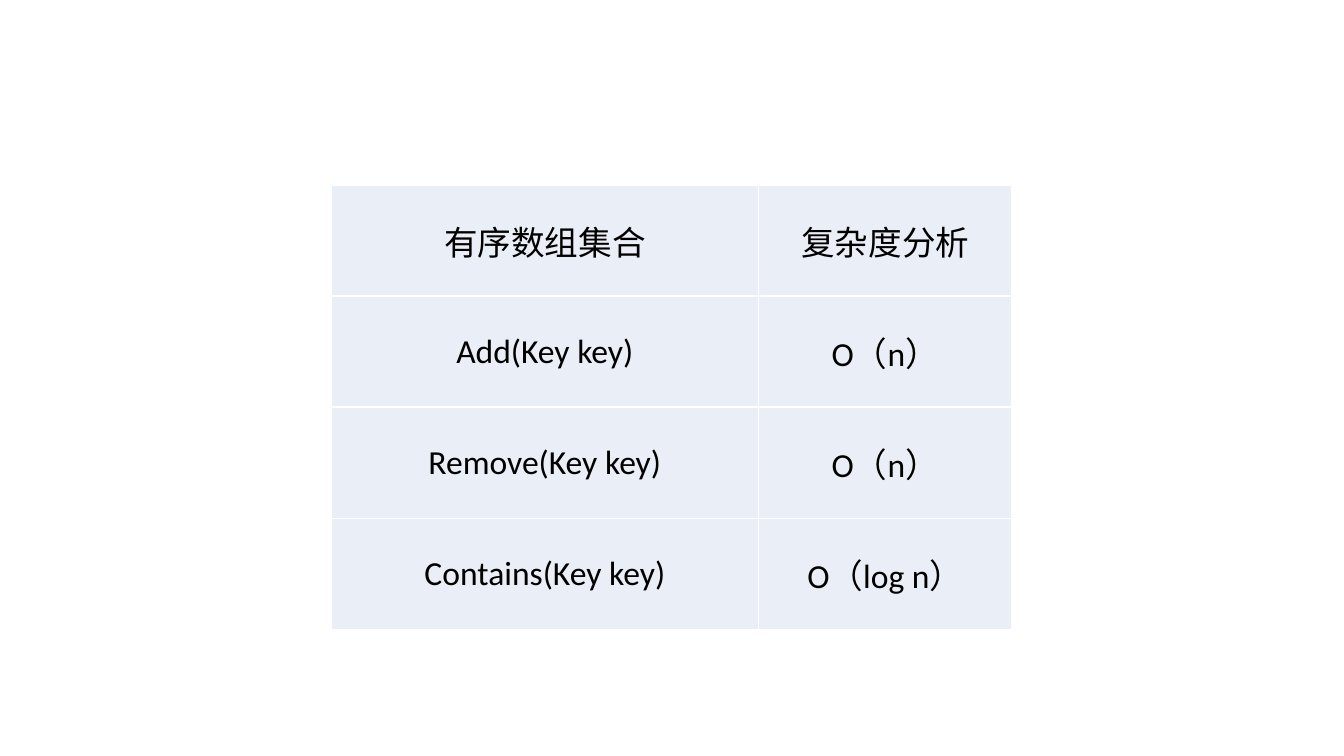
"""Build a slide with the complexity table of a sorted-array set."""
from lxml import etree
from pptx import Presentation
from pptx.dml.color import RGBColor
from pptx.enum.lang import MSO_LANGUAGE_ID
from pptx.enum.text import MSO_ANCHOR, PP_ALIGN
from pptx.oxml.ns import qn
from pptx.util import Cm, Pt

CENTER = PP_ALIGN.CENTER
MIDDLE = MSO_ANCHOR.MIDDLE
CHINESE = MSO_LANGUAGE_ID.SIMPLIFIED_CHINESE

ROWS = [
    ("有序数组集合", "复杂度分析"),
    ("Add(Key key)", "O（n）"),
    ("Remove(Key key)", "O（n）"),
    ("Contains(Key key)", "O（log n）"),
]
COL_WIDTHS = (10.78, 6.38)
ROW_HEIGHT = 2.8
LEFT, TOP = 8.34, 4.66
INSET = 0.02
FONT, SIZE = "Calibri", 24
TEXT, CELL_FILL, BORDER = "000000", "EAEFF7", "FFFFFF"


def rgb(value):
    return RGBColor.from_string(value)


def set_borders(cell, color, width):
    tc_pr = cell._tc.get_or_add_tcPr()
    for i, side in enumerate(("lnL", "lnR", "lnT", "lnB")):
        ln = etree.Element(qn(f"a:{side}"), w=str(Pt(width)))
        fill = etree.SubElement(ln, qn("a:solidFill"))
        etree.SubElement(fill, qn("a:srgbClr"), val=color)
        tc_pr.insert(i, ln)


def fill_cell(cell, text):
    cell.fill.solid()
    cell.fill.fore_color.rgb = rgb(CELL_FILL)
    set_borders(cell, BORDER, 1)
    cell.vertical_anchor = MIDDLE
    cell.margin_left = cell.margin_right = cell.margin_top = Cm(INSET)
    cell.margin_bottom = 0
    p = cell.text_frame.paragraphs[0]
    p.alignment = CENTER
    r = p.add_run()
    r.text = text
    r.font.name = FONT
    r.font.size = Pt(SIZE)
    r.font.color.rgb = rgb(TEXT)
    r.font.language_id = CHINESE


def main():
    prs = Presentation()
    prs.slide_width, prs.slide_height = Cm(33.87), Cm(19.05)
    s = prs.slides.add_slide(prs.slide_layouts[6])
    table = s.shapes.add_table(
        len(ROWS), len(COL_WIDTHS), Cm(LEFT), Cm(TOP),
        Cm(sum(COL_WIDTHS)), Cm(ROW_HEIGHT * len(ROWS))).table
    table.first_row = table.horz_banding = False
    for col, width in zip(table.columns, COL_WIDTHS):
        col.width = Cm(width)
    for row, texts in zip(table.rows, ROWS):
        row.height = Cm(ROW_HEIGHT)
        for cell, text in zip(row.cells, texts):
            fill_cell(cell, text)
    prs.save("out.pptx")


if __name__ == "__main__":
    main()
